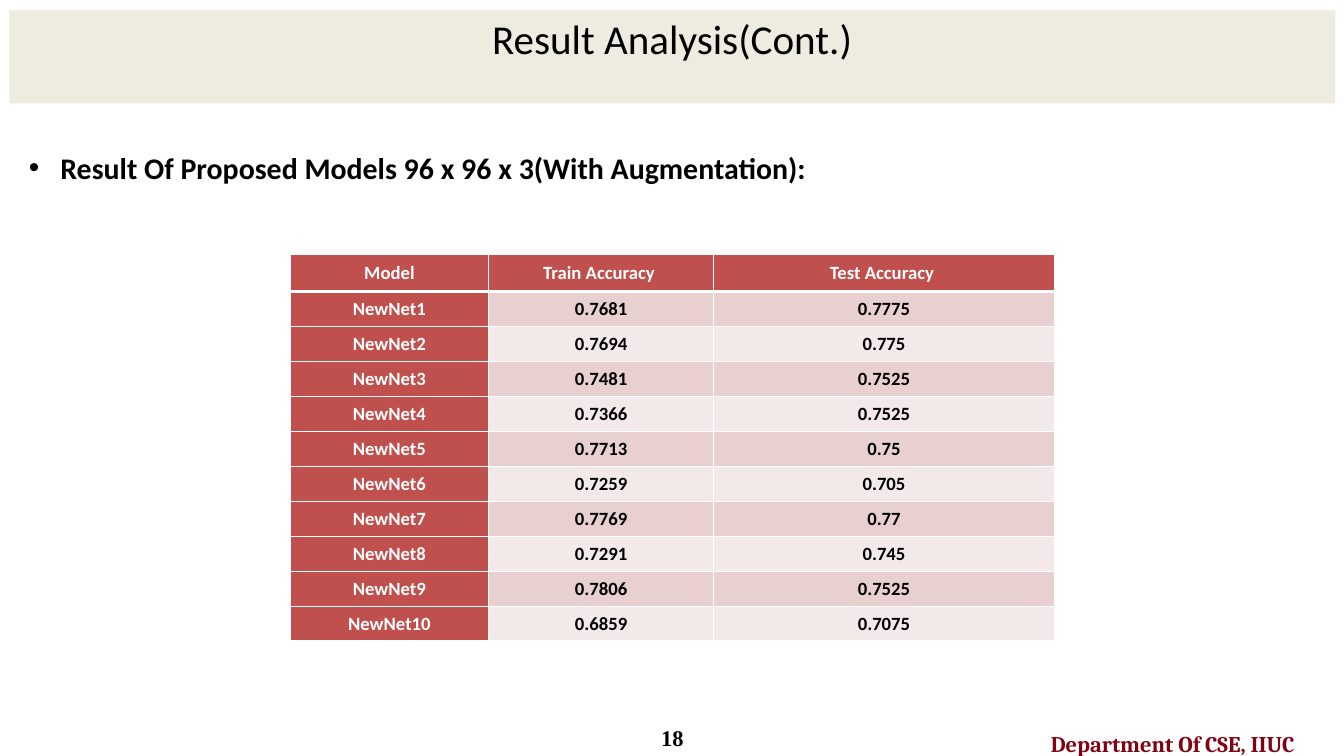
from dataclasses import dataclass
from typing import NamedTuple

from lxml import etree
from pptx import Presentation
from pptx.dml.color import RGBColor
from pptx.enum.shapes import MSO_SHAPE
from pptx.enum.text import MSO_ANCHOR, PP_ALIGN
from pptx.oxml.ns import qn
from pptx.util import Inches, Length, Pt

RECTANGLE = MSO_SHAPE.RECTANGLE
TOP, MIDDLE = MSO_ANCHOR.TOP, MSO_ANCHOR.MIDDLE
LEFT, CENTER = PP_ALIGN.LEFT, PP_ALIGN.CENTER
SLIDE_WIDTH, SLIDE_HEIGHT = Inches(20), Inches(11.25)


@dataclass(frozen=True)
class Theme:
    band: str = "EEECE1"
    ink: str = "000000"
    white: str = "FFFFFF"
    maroon: str = "820112"
    accent: str = "C0504D"
    stripes: tuple[str, str] = ("E8D0D0", "F4E9E9")
    sans: str = "Calibri"
    title_size: int = 44
    body_size: int = 32
    footer_size: int = 24
    table_size: int = 20
    thin_line: int = 1
    header_line: int = 3


THEME = Theme()


class Area(NamedTuple):
    """A place on the slide, in percent of its width and height."""
    left: float
    top: float
    width: float
    height: float


@dataclass(frozen=True)
class Label:
    text: str
    area: Area
    size: int
    font: str = THEME.sans
    color: str = THEME.ink
    bold: bool = True
    align: PP_ALIGN = CENTER
    anchor: MSO_ANCHOR = TOP
    padded: bool = True
    line_spacing: float = 1.0


class Result(NamedTuple):
    model: str
    train: str
    test: str


# Content
BAND = Area(0.7, 1.33, 98.65, 12.36)
TITLE = Label("Result Analysis(Cont.)", BAND._replace(height=11.2),
              THEME.title_size, bold=False)
HEADING = Label("Result Of Proposed Models 96 x 96 x 3(With Augmentation):",
                Area(1.5, 19.29, 96.9, 69.87), THEME.body_size, align=LEFT)
DEPARTMENT = Label("Department Of CSE, IIUC", Area(76.1, 95.11, 22.3, 5.07),
                   THEME.footer_size, "Cambria", THEME.maroon,
                   padded=False, line_spacing=1.4)
PAGE_NUMBER = Label("18", Area(46.9, 95.64, 6.25, 3.82), THEME.footer_size,
                    "Times New Roman", anchor=MIDDLE)

TABLE_LEFT, TABLE_TOP = 21.6, 33.69
COLUMN_WIDTHS = (14.75, 16.75, 25.35)
HEADER_HEIGHT, ROW_HEIGHT = 4.89, 4.62
HEADER = Result("Model", "Train Accuracy ", "Test Accuracy ")
RESULTS = [
    Result("NewNet1", "0.7681", "0.7775"),
    Result("NewNet2", "0.7694", "0.775"),
    Result("NewNet3", "0.7481", "0.7525"),
    Result("NewNet4", "0.7366", "0.7525"),
    Result("NewNet5", "0.7713", "0.75"),
    Result("NewNet6", "0.7259", "0.705"),
    Result("NewNet7", "0.7769", "0.77"),
    Result("NewNet8", "0.7291", "0.745"),
    Result("NewNet9", "0.7806", "0.7525"),
    Result("NewNet10", "0.6859", "0.7075"),
]


def across(percent: float) -> Length:
    return Length(round(SLIDE_WIDTH * percent / 100))


def down(percent: float) -> Length:
    return Length(round(SLIDE_HEIGHT * percent / 100))


def place(area: Area) -> tuple[Length, Length, Length, Length]:
    return across(area.left), down(area.top), across(area.width), down(area.height)


def style_font(para, font: str, size: int, color: str, bold: bool) -> None:
    for span in para.runs:
        span.font.name = font
        span.font.size = Pt(size)
        span.font.bold = bold
        span.font.color.rgb = RGBColor.from_string(color)


def add_band(page, area: Area):
    band = page.shapes.add_shape(RECTANGLE, *place(area))
    band.shadow.inherit = False
    band.fill.solid()
    band.fill.fore_color.rgb = RGBColor.from_string(THEME.band)
    band.line.fill.background()
    return band


def write_label(box, label: Label):
    frame = box.text_frame
    frame.word_wrap = True
    frame.vertical_anchor = label.anchor
    if not label.padded:
        frame.margin_left = frame.margin_right = 0
        frame.margin_top = frame.margin_bottom = 0
    frame.text = label.text
    para = frame.paragraphs[0]
    para.alignment = label.align
    para.line_spacing = label.line_spacing
    style_font(para, label.font, label.size, label.color, label.bold)
    return para


def add_label(page, label: Label):
    return write_label(page.shapes.add_textbox(*place(label.area)), label)


def add_bullet(para) -> None:
    properties = para._p.get_or_add_pPr()
    properties.set("marL", str(Inches(0.5)))
    properties.set("indent", str(Inches(-0.47)))
    etree.SubElement(properties, qn("a:buFont")).set("typeface", "Arial")
    etree.SubElement(properties, qn("a:buChar")).set("char", "•")


def set_borders(cell, top: int, bottom: int) -> None:
    properties = cell._tc.get_or_add_tcPr()
    sides = {"L": THEME.thin_line, "R": THEME.thin_line, "T": top, "B": bottom}
    for side, width in sides.items():
        line = etree.SubElement(properties, qn(f"a:ln{side}"), w=str(Pt(width)))
        fill = etree.SubElement(line, qn("a:solidFill"))
        etree.SubElement(fill, qn("a:srgbClr")).set("val", THEME.white)


def fill_cell(cell, text: str, row: int, column: int) -> None:
    is_heading = row == 0 or column == 0
    thin, thick = THEME.thin_line, THEME.header_line
    set_borders(cell, thick if row == 1 else thin, thick if row == 0 else thin)
    background = THEME.accent if is_heading else THEME.stripes[(row - 1) % 2]
    cell.fill.solid()
    cell.fill.fore_color.rgb = RGBColor.from_string(background)
    cell.vertical_anchor = MIDDLE
    cell.margin_left = cell.margin_right = cell.margin_top = Inches(0.01)
    cell.margin_bottom = 0
    cell.text_frame.text = text
    para = cell.text_frame.paragraphs[0]
    para.alignment = CENTER
    color = THEME.white if is_heading else THEME.ink
    style_font(para, THEME.sans, THEME.table_size, color, True)


def add_results_table(page, records: list[Result]) -> None:
    heights = [HEADER_HEIGHT] + [ROW_HEIGHT] * (len(records) - 1)
    area = Area(TABLE_LEFT, TABLE_TOP, sum(COLUMN_WIDTHS), sum(heights))
    table = page.shapes.add_table(len(records), len(COLUMN_WIDTHS), *place(area)).table
    table.first_col = True
    for column, width in zip(table.columns, COLUMN_WIDTHS):
        column.width = across(width)
    for row, height in zip(table.rows, heights):
        row.height = down(height)
    for row, record in enumerate(records):
        for column, text in enumerate(record):
            fill_cell(table.cell(row, column), text, row, column)


def main() -> None:
    deck = Presentation()
    deck.slide_width, deck.slide_height = SLIDE_WIDTH, SLIDE_HEIGHT
    page = deck.slides.add_slide(deck.slide_layouts[6])

    # Footer and title band
    add_label(page, DEPARTMENT)
    add_band(page, BAND)
    add_label(page, PAGE_NUMBER)
    write_label(add_band(page, TITLE.area), TITLE)

    # Heading and results
    add_bullet(add_label(page, HEADING))
    add_results_table(page, [HEADER, *RESULTS])
    deck.save("out.pptx")


if __name__ == "__main__":
    main()
